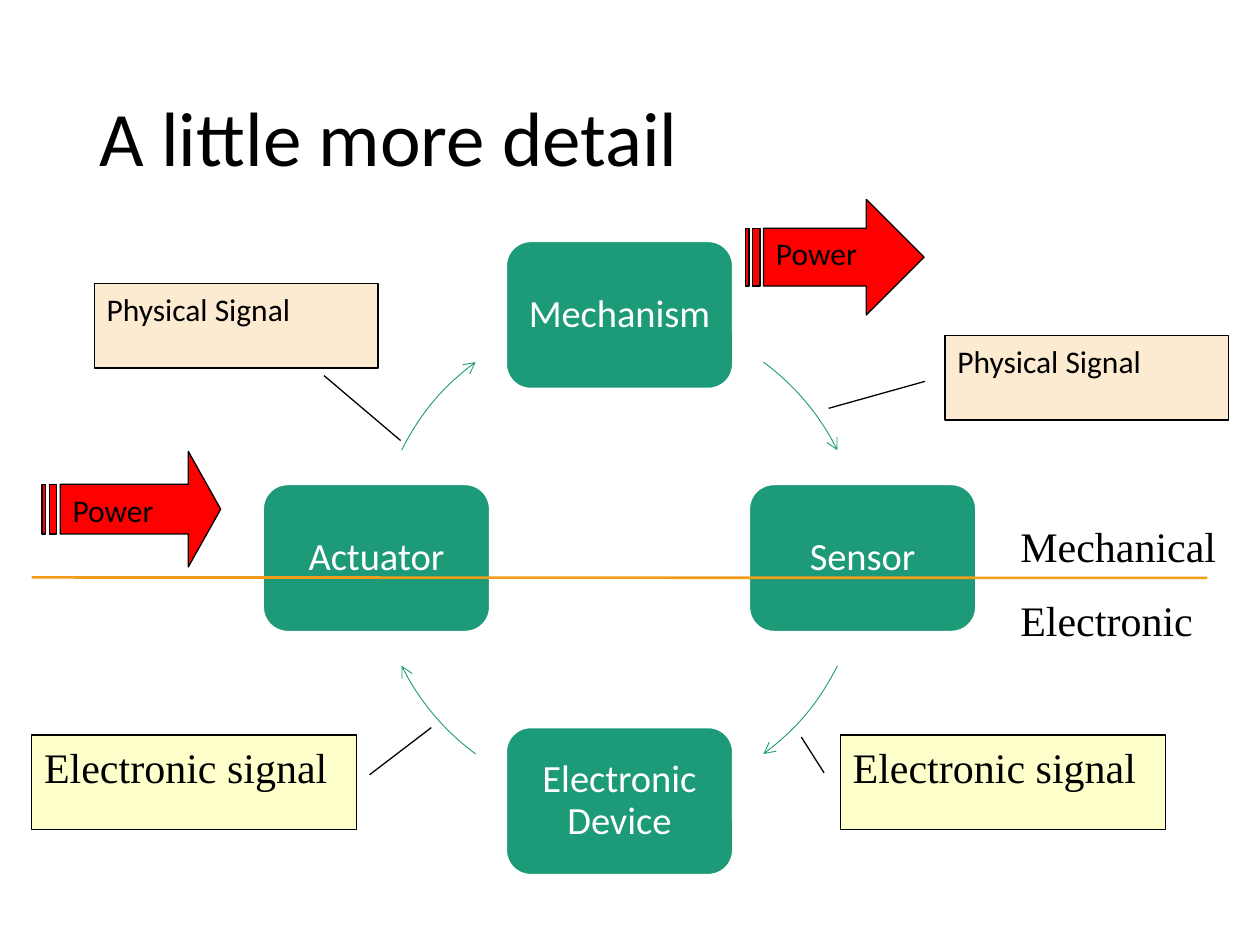
import math
import lxml.etree
import pptx
import pptx.dml.color
import pptx.enum.shapes
import pptx.enum.text
import pptx.oxml.ns
import pptx.util

Cm = pptx.util.Cm
Pt = pptx.util.Pt
RGB = pptx.dml.color.RGBColor
KIND = pptx.enum.shapes.MSO_SHAPE
ALIGN = pptx.enum.text.PP_ALIGN
ANCHOR = pptx.enum.text.MSO_ANCHOR
qn = pptx.oxml.ns.qn

BLACK = RGB(0x00, 0x00, 0x00)
WHITE = RGB(0xFF, 0xFF, 0xFF)
GREEN = RGB(0x1D, 0x9A, 0x78)
PEACH = RGB(0xFC, 0xEB, 0xD1)
CREAM = RGB(0xFF, 0xFF, 0xCC)
RED = RGB(0xFF, 0x00, 0x00)
GOLD = RGB(0xF1, 0x9D, 0x19)
SANS = "Calibri"
SERIF = "Times New Roman"


def write(shape, text, face, size, color, frame, para):
    body = shape.text_frame
    body.text = text
    for key, val in frame.items():
        setattr(body, key, val)
    line = body.paragraphs[0]
    for key, val in para.items():
        setattr(line, key, val)
    for key, val in {"name": face, "size": Pt(size)}.items():
        setattr(line.font, key, val)
    line.font.color.rgb = color


def draw(kind, box, fill, edge, width, adj=()):
    shape = slide.shapes.add_shape(kind, *[Cm(n) for n in box])
    shape.shadow.inherit = False
    if fill is None:
        shape.fill.background()
    else:
        shape.fill.solid()
        shape.fill.fore_color.rgb = fill
    shape.line.color.rgb = edge
    shape.line.width = Pt(width)
    for i, val in enumerate(adj):
        shape.adjustments[i] = val
    return shape


deck = pptx.Presentation()
deck.slide_width = Cm(25.4)
deck.slide_height = Cm(19.05)
slide = deck.slides.add_slide(deck.slide_layouts[5])

title = slide.shapes.title
place = {"left": 1.75, "top": 1.02, "width": 21.9, "height": 3.68}
for key, val in place.items():
    setattr(title, key, Cm(val))
write(title, "A little more detail", SANS, 44, BLACK,
      {"vertical_anchor": ANCHOR.MIDDLE, "word_wrap": True},
      {"alignment": ALIGN.LEFT, "line_spacing": 0.9})

mid_x, mid_y, ray = 12.49, 11.25, 4.9
wide, high = 4.57, 2.97
pad = Cm(0.2)
inner = {"vertical_anchor": ANCHOR.MIDDLE, "word_wrap": True,
         "margin_left": pad, "margin_right": pad,
         "margin_top": pad, "margin_bottom": pad}
center = {"alignment": ALIGN.CENTER, "line_spacing": 0.9}
ring = (mid_x - ray, mid_y - ray, 2 * ray, 2 * ray)
steps = ["Mechanism", "Sensor", "Electronic Device", "Actuator"]
gaps = [(36.3, 63.7), (26.3, 53.7)]
for i, name in enumerate(steps):
    turn = 270 + 90 * i
    x = mid_x + ray * math.cos(math.radians(turn))
    y = mid_y + ray * math.sin(math.radians(turn))
    node = draw(KIND.ROUNDED_RECTANGLE,
                (x - wide / 2, y - high / 2, wide, high), GREEN, WHITE, 1)
    write(node, name, SANS, 22, WHITE, inner, center)
    ends = [(turn + gap) % 360 * 0.6 for gap in gaps[i % 2]]
    arc = draw(KIND.ARC, ring, None, GREEN, 0.5, ends)
    lxml.etree.SubElement(arc.element.spPr.find(qn("a:ln")),
                          qn("a:tailEnd"), type="arrow")

top = {"vertical_anchor": ANCHOR.TOP, "word_wrap": True}
left = {"alignment": ALIGN.LEFT}
call, power = KIND.LINE_CALLOUT_1, KIND.STRIPED_RIGHT_ARROW
small, large, arrow = (5.72, 1.7), (6.55, 1.9), (3.6, 2.33)
phys, elec = ("Physical Signal", SANS, 18), ("Electronic signal", SERIF, 24)
push = ("Power", SANS, 18)
notes = [
    (call, (19.05, 6.77), small, PEACH, phys, (0.54, -0.07, 0.86, -0.41)),
    (call, (1.9, 5.72), small, PEACH, phys, (1.09, 0.81, 1.86, 1.08)),
    (call, (16.94, 14.82), large, CREAM, elec, (0.4, -0.05, 0.02, -0.12)),
    (call, (0.64, 14.82), large, CREAM, elec, (0.42, 1.04, -0.08, 1.23)),
    (power, (0.85, 9.1), arrow, RED, push, (0.43, 0.28)),
    (power, (15.03, 4.02), arrow, RED, push, ()),
]
for kind, spot, size, fill, words, adj in notes:
    note = draw(kind, spot + size, fill, BLACK, 0.75, adj)
    write(note, *words, BLACK, top, left)

rule = slide.shapes.add_connector(
    pptx.enum.shapes.MSO_CONNECTOR.STRAIGHT,
    Cm(0.64), Cm(11.64), Cm(24.34), Cm(11.65))
rule.line.color.rgb = GOLD
rule.line.width = Pt(1.5)
lxml.etree.SubElement(rule.element.spPr, qn("a:effectLst"))

for name, y, w in [("Mechanical", 10.37, 4.5), ("Electronic", 11.86, 4.01)]:
    label = slide.shapes.add_textbox(Cm(20.32), Cm(y), Cm(w), Cm(1.28))
    write(label, name, SERIF, 24, BLACK, {"word_wrap": False}, left)

deck.save("out.pptx")
